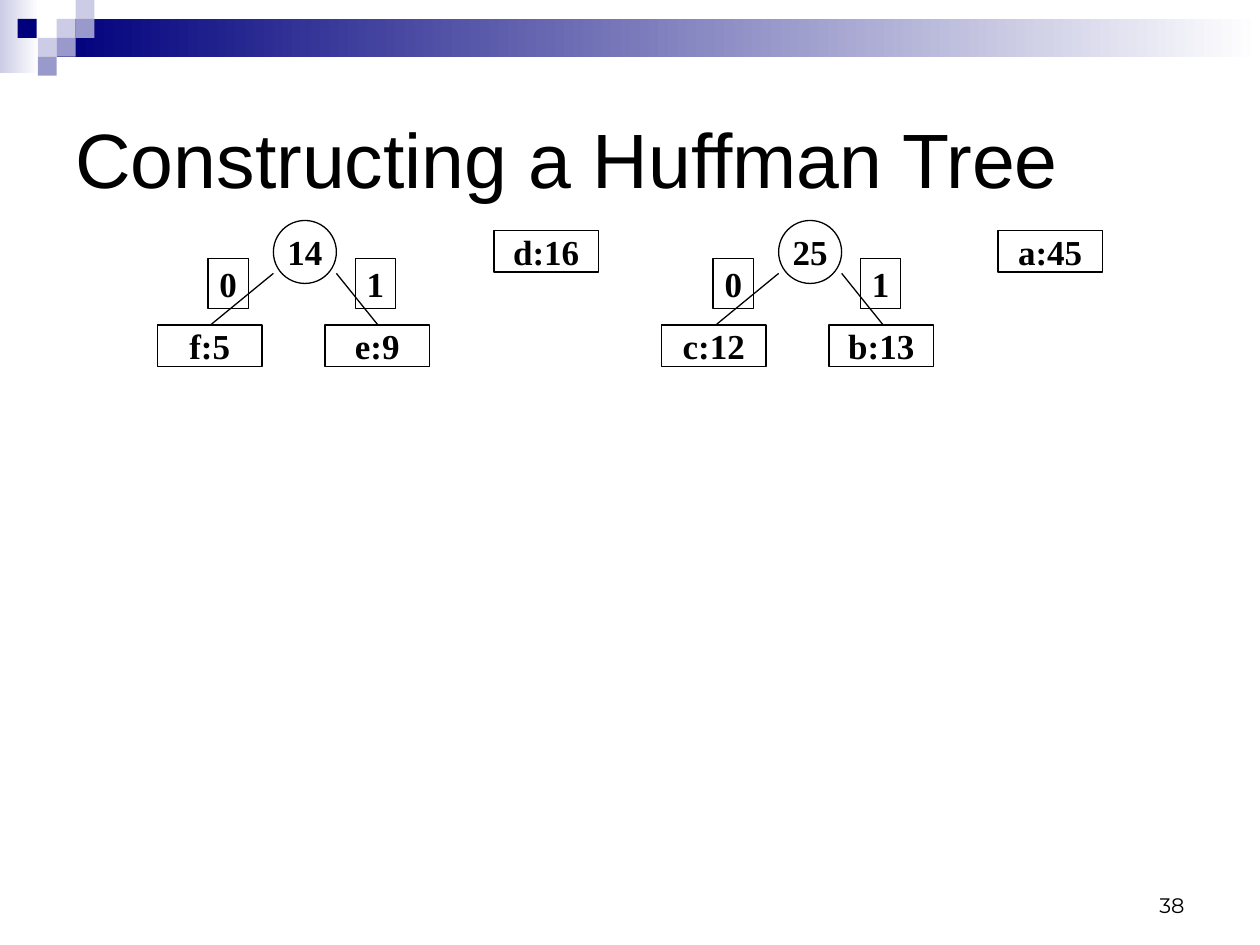
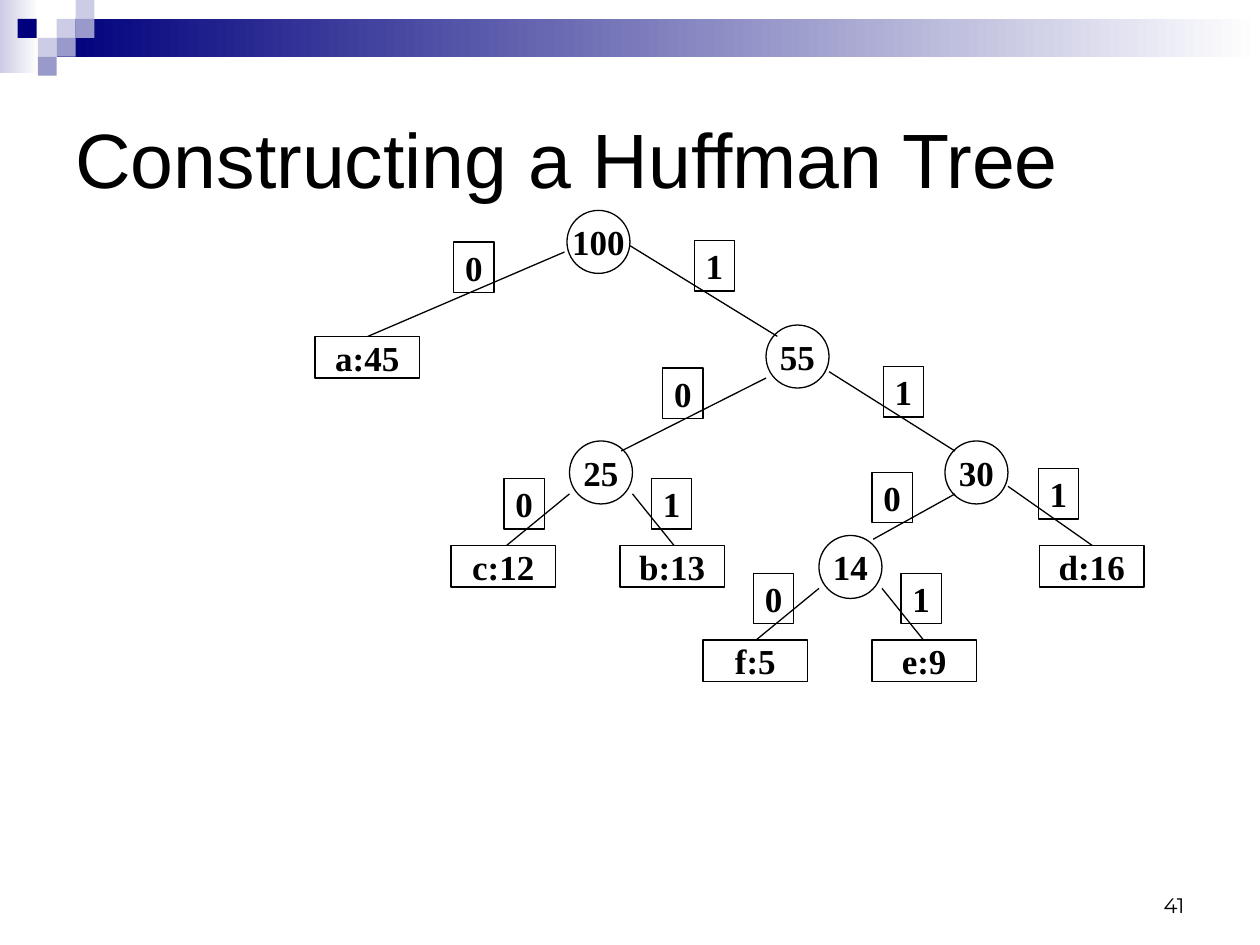
"""Build two slides that show steps in constructing a Huffman tree."""
from dataclasses import dataclass

from lxml.etree import SubElement
from pptx import Presentation
from pptx.dml.color import RGBColor
from pptx.enum.shapes import MSO_CONNECTOR, MSO_SHAPE
from pptx.enum.text import MSO_ANCHOR, PP_ALIGN
from pptx.oxml.ns import qn
from pptx.shapes.autoshape import Shape
from pptx.slide import Slide
from pptx.util import Inches, Pt

COLORS = {"ink": "000000", "navy": "00007D", "mid": "9999CC", "pale": "CCCCE6", "white": "FFFFFF"}
TITLE = "Constructing a Huffman Tree"
SQUARE = 0.15
LEAF_SIZE = (0.83, 0.33)
NODE_SIZE = (0.5, 0.5)
BIT_SIZE = (0.32, 0.4)
Point = tuple[float, float]


@dataclass(frozen=True)
class Band:
    left: float
    top: float
    width: float
    height: float
    color: str
    fades: bool = False


@dataclass(frozen=True)
class Item:
    text: str
    left: float
    top: float


@dataclass(frozen=True)
class Branch:
    child: Point
    parent: Point
    bit: Item


@dataclass(frozen=True)
class TreePage:
    number: str
    leaves: list[Item]
    nodes: list[Item]
    branches: list[Branch]


BANDS = [
    Band(0, 0, 0.31, 0.58, "pale", True),
    Band(0.45, 0.15, 9.55, 0.3, "navy", True),
    *(
        Band(left, top, SQUARE, SQUARE, color)
        for left, top, color in [
            (0.45, 0.15, "pale"), (0.6, 0, "pale"), (0.6, 0.15, "mid"), (0.3, 0.3, "pale"),
            (0.14, 0.15, "navy"), (0.45, 0.3, "mid"), (0.3, 0.45, "mid"),
        ]
    ),
]


def leaf_branches(node: Item) -> list[Branch]:
    """Return the two branches from a node down to its pair of leaves."""
    left, top = node.left, node.top
    return [
        Branch((left - 0.5, top + 0.83), (left, top + 0.42), Item("0", left - 0.52, top + 0.3)),
        Branch((left + 0.83, top + 0.83), (left + 0.5, top + 0.42), Item("1", left + 0.65, top + 0.3)),
    ]


def rgb(name: str) -> RGBColor:
    """Return a named colour."""
    return RGBColor.from_string(COLORS[name])


def write(box: Shape, text: str, size: float, font: str, align: PP_ALIGN,
          anchor: MSO_ANCHOR, bold: bool = False, wrap: bool = True) -> None:
    """Fill a box with one styled paragraph."""
    frame = box.text_frame
    frame.word_wrap = wrap
    frame.vertical_anchor = anchor
    para = frame.paragraphs[0]
    para.text = text
    para.alignment = align
    para.font.size = Pt(size)
    para.font.name = font
    para.font.bold = bold
    para.font.color.rgb = rgb("ink")


def draw_band(page: Slide, band: Band) -> None:
    """Draw one plain or fading block of the header."""
    block = page.shapes.add_shape(
        MSO_SHAPE.RECTANGLE, Inches(band.left), Inches(band.top), Inches(band.width), Inches(band.height)
    )
    block.shadow.inherit = False
    block.line.fill.background()
    if band.fades:
        block.fill.gradient()
        block.fill.gradient_angle = 0
        for stop, color in zip(block.fill.gradient_stops, (band.color, "white")):
            stop.color.rgb = rgb(color)
    else:
        block.fill.solid()
        block.fill.fore_color.rgb = rgb(band.color)


def draw_item(page: Slide, item: Item, size: Point, kind: MSO_SHAPE = MSO_SHAPE.RECTANGLE) -> None:
    """Draw one outlined leaf, node or bit label."""
    width, height = size
    box = page.shapes.add_shape(kind, Inches(item.left), Inches(item.top), Inches(width), Inches(height))
    box.shadow.inherit = False
    box.fill.background()
    box.line.color.rgb = rgb("ink")
    box.line.width = Pt(0.75)
    write(box, item.text, 20, "Times New Roman", PP_ALIGN.CENTER, MSO_ANCHOR.MIDDLE, bold=True, wrap=False)


def draw_branch(page: Slide, branch: Branch) -> None:
    """Draw a line from child to parent with its bit label."""
    ends = [Inches(value) for value in (*branch.child, *branch.parent)]
    line = page.shapes.add_connector(MSO_CONNECTOR.STRAIGHT, *ends)
    line.line.color.rgb = rgb("ink")
    line.line.width = Pt(0.75)
    SubElement(line.element.spPr, qn("a:effectLst"))
    draw_item(page, branch.bit, BIT_SIZE)


def draw_frame(page: Slide, number: str) -> None:
    """Draw the header, page number and title shared by all pages."""
    for band in BANDS:
        draw_band(page, band)
    footer = page.shapes.add_textbox(Inches(7.17), Inches(6.83), Inches(2.33), Inches(0.5))
    write(footer, number, 12, "Montserrat", PP_ALIGN.RIGHT, MSO_ANCHOR.BOTTOM)
    title = page.shapes.add_textbox(Inches(0.5), Inches(0.5), Inches(9), Inches(1.5))
    write(title, TITLE, 44, "Arial", PP_ALIGN.LEFT, MSO_ANCHOR.MIDDLE)


def draw_tree(page: Slide, tree: TreePage) -> None:
    """Draw the leaves, nodes and branches of a page."""
    for leaf in tree.leaves:
        draw_item(page, leaf, LEAF_SIZE)
    for node in tree.nodes:
        draw_item(page, node, NODE_SIZE, MSO_SHAPE.OVAL)
    for branch in tree.branches:
        draw_branch(page, branch)


def pairs_page() -> TreePage:
    """Describe the step with two separate pairs."""
    nodes = [Item("14", 2.17, 1.75), Item("25", 6.18, 1.75)]
    leaves = [
        Item("f:5", 1.25, 2.58), Item("e:9", 2.58, 2.58), Item("c:12", 5.25, 2.58),
        Item("b:13", 6.58, 2.58), Item("d:16", 3.92, 1.83), Item("a:45", 7.92, 1.83),
    ]
    return TreePage("38", leaves, nodes, [branch for node in nodes for branch in leaf_branches(node)])


def finished_page() -> TreePage:
    """Describe the finished tree."""
    pairs = [Item("14", 6.5, 4.25), Item("25", 4.52, 3.5)]
    joins = [Item("30", 7.5, 3.5), Item("55", 6.08, 2.58), Item("100", 4.5, 1.67)]
    leaves = [
        Item("f:5", 5.58, 5.08), Item("e:9", 6.92, 5.08), Item("c:12", 3.58, 4.33),
        Item("b:13", 4.92, 4.33), Item("d:16", 8.25, 4.33), Item("a:45", 2.5, 2.67),
    ]
    branches = [
        *(branch for node in pairs for branch in leaf_branches(node)),
        Branch((6.93, 4.28), (7.58, 3.92), Item("0", 6.92, 3.75)),
        Branch((8.67, 4.33), (8, 3.86), Item("1", 8.24, 3.72)),
        Branch((4.93, 3.58), (6.08, 3), Item("0", 5.26, 2.92)),
        Branch((7.58, 3.58), (6.58, 2.95), Item("1", 7.01, 2.91)),
        Branch((2.92, 2.67), (4.48, 2), Item("0", 3.6, 1.92)),
        Branch((6.17, 2.67), (5, 1.95), Item("1", 5.51, 1.91)),
    ]
    return TreePage("41", leaves, pairs + joins, branches)


def main() -> None:
    """Build and save the deck."""
    deck = Presentation()
    deck.slide_width = Inches(10)
    deck.slide_height = Inches(7.5)
    for tree in (pairs_page(), finished_page()):
        page = deck.slides.add_slide(deck.slide_layouts[6])
        draw_frame(page, tree.number)
        draw_tree(page, tree)
    deck.save("out.pptx")


if __name__ == "__main__":
    main()
